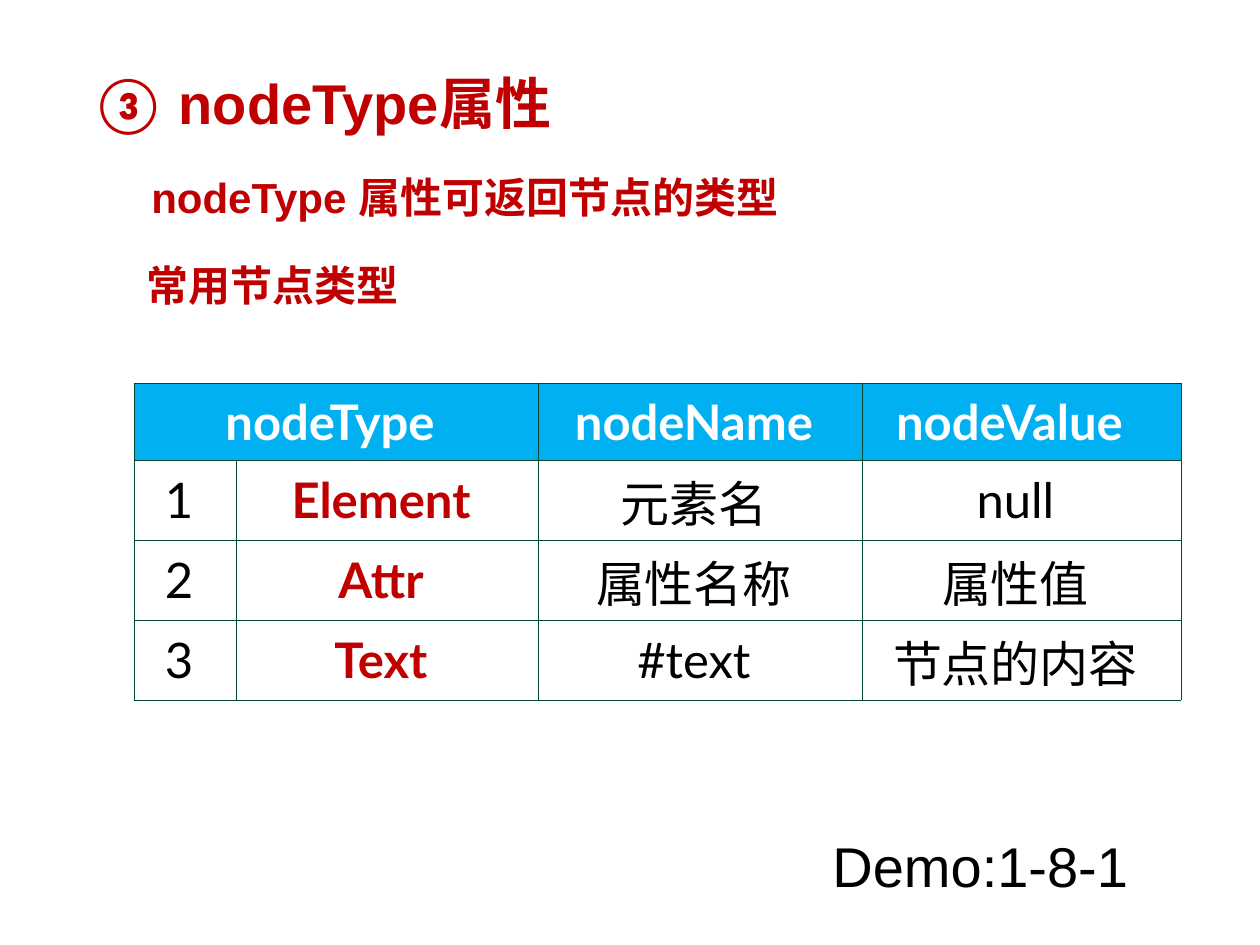
"""Build the slide on the nodeType property and its common node types."""
from lxml import etree
from pptx import Presentation
from pptx.dml.color import RGBColor
from pptx.enum.text import MSO_ANCHOR, MSO_AUTO_SIZE, PP_ALIGN
from pptx.oxml.ns import qn
from pptx.util import Pt

TOP, MIDDLE = MSO_ANCHOR.TOP, MSO_ANCHOR.MIDDLE
LEFT, CENTER = PP_ALIGN.LEFT, PP_ALIGN.CENTER
GROW = MSO_AUTO_SIZE.SHAPE_TO_FIT_TEXT

PX = 914400 / 126
RED, BLACK, WHITE, BLUE, GREEN = "C00000", "000000", "FFFFFF", "00B0F0", "024731"

TITLE = {"box": (79, -5, 503, 147), "runs": [("③ ", "Calibri"), ("nodeType属性", "Arial")],
         "size": 32, "bold": True, "color": RED, "wrap": False}
TEXTS = [
    {"box": (139, 165, 893, 63), "runs": [("nodeType 属性可返回节点的类型", "Arial")],
     "size": 24, "bold": True, "color": RED, "wrap": True},
    {"box": (134, 253, 893, 63), "runs": [("常用节点类型", "Arial")],
     "size": 24, "bold": True, "color": RED, "wrap": True},
    {"box": (820, 825, 321, 81), "runs": [("Demo:1-8-1", "Arial")],
     "size": 32, "bold": False, "color": BLACK, "wrap": False},
]

TABLE_ORIGIN = (134, 383)
COLUMNS = [102, 302, 324, 319]
ROWS = [77, 80, 80, 80]
CELLS = [
    ["nodeType", "", "nodeName", "nodeValue "],
    ["1", "Element", "元素名", "null"],
    ["2", "Attr", "属性名称", "属性值"],
    ["3", "Text", "#text", "节点的内容"],
]
CELL_MARGINS = {"margin_left": 8, "margin_right": 20, "margin_top": 6, "margin_bottom": 6}


def px(value):
    return round(value * PX)


def rgb(color):
    return RGBColor.from_string(color)


def add_run(paragraph, text, name, size, bold, color):
    run = paragraph.add_run()
    run.text = text
    for key, value in {"name": name, "size": Pt(size), "bold": bold}.items():
        setattr(run.font, key, value)
    run.font.color.rgb = rgb(color)


def fill_text(shape, content):
    frame = shape.text_frame
    settings = {"word_wrap": content["wrap"], "auto_size": GROW, "vertical_anchor": TOP}
    for key, value in settings.items():
        setattr(frame, key, value)
    paragraph = frame.paragraphs[0]
    paragraph.alignment = LEFT
    for text, name in content["runs"]:
        add_run(paragraph, text, name, content["size"], content["bold"], content["color"])
    return paragraph


def add_borders(cell):
    properties = cell._tc.get_or_add_tcPr()
    for position, side in enumerate(("a:lnL", "a:lnR", "a:lnT", "a:lnB")):
        line = etree.Element(qn(side), w=str(Pt(0.45)))
        fill = etree.SubElement(line, qn("a:solidFill"))
        etree.SubElement(fill, qn("a:srgbClr"), val=GREEN)
        properties.insert(position, line)


def format_cell(cell, text, row, column):
    header = row == 0
    cell.vertical_anchor = MIDDLE
    for key, value in CELL_MARGINS.items():
        setattr(cell, key, px(value))
    if header:
        cell.fill.solid()
        cell.fill.fore_color.rgb = rgb(BLUE)
    else:
        cell.fill.background()
    add_borders(cell)
    if text:
        paragraph = cell.text_frame.paragraphs[0]
        paragraph.alignment = CENTER
        color = WHITE if header else RED if column == 1 else BLACK
        add_run(paragraph, text, "Lato", 28, color != BLACK, color)


def add_node_table(slide):
    size = (sum(COLUMNS), sum(ROWS))
    table = slide.shapes.add_table(len(ROWS), len(COLUMNS),
                                   *map(px, TABLE_ORIGIN + size)).table
    for column, width in zip(table.columns, COLUMNS):
        column.width = px(width)
    for row, height in zip(table.rows, ROWS):
        row.height = px(height)
    table.cell(0, 0).merge(table.cell(0, 1))
    for row, texts in enumerate(CELLS):
        for column, text in enumerate(texts):
            format_cell(table.cell(row, column), text, row, column)


def main():
    presentation = Presentation()
    presentation.slide_width, presentation.slide_height = px(1260), px(945)
    slide = presentation.slides.add_slide(presentation.slide_layouts[5])
    title = slide.shapes.title
    for key, value in zip(("left", "top", "width", "height"), TITLE["box"]):
        setattr(title, key, px(value))
    fill_text(title, TITLE).line_spacing = 2.0
    for content in TEXTS:
        fill_text(slide.shapes.add_textbox(*map(px, content["box"])), content)
    add_node_table(slide)
    presentation.save("out.pptx")


if __name__ == "__main__":
    main()
